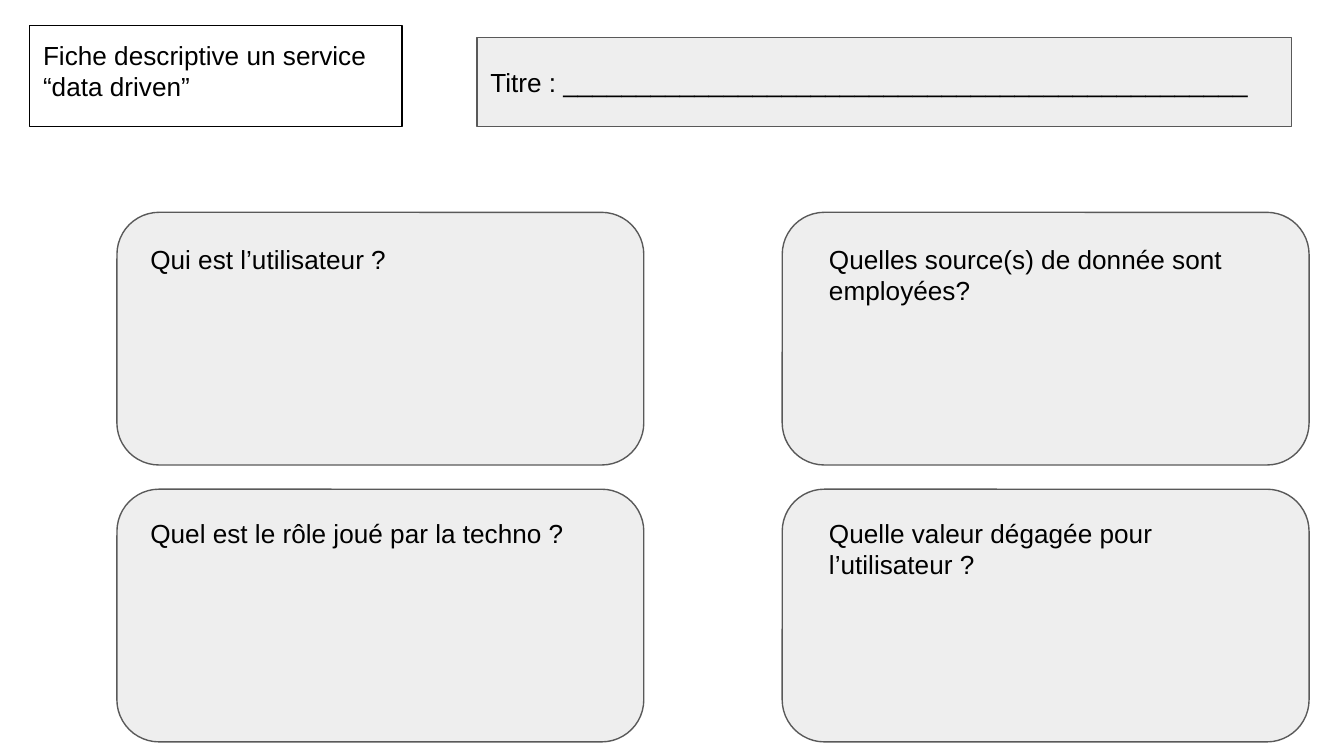
from pptx import Presentation
from pptx.dml.color import RGBColor
from pptx.enum.shapes import MSO_SHAPE
from pptx.enum.text import MSO_ANCHOR, MSO_AUTO_SIZE, PP_ALIGN
from pptx.util import Inches, Pt

RECTANGLE, ROUNDED = MSO_SHAPE.RECTANGLE, MSO_SHAPE.ROUNDED_RECTANGLE
TOP, MIDDLE = MSO_ANCHOR.TOP, MSO_ANCHOR.MIDDLE
NO_AUTOFIT, LEFT = MSO_AUTO_SIZE.NONE, PP_ALIGN.LEFT

BLACK, GREY, PALE = "000000", "595959", "EEEEEE"

HEADING = "Fiche descriptive un service “data driven”"
SERVICE_NAME = "Titre : _______________________________________________"
QUESTIONS = [
    ["Qui est l’utilisateur ?", "Quelles source(s) de donnée sont employées?"],
    ["Quel est le rôle joué par la techno ?", "Quelle valeur dégagée pour l’utilisateur ?"],
]

SLIDE_WIDTH = 10
SLIDE_HEIGHT = SLIDE_WIDTH * 9 / 16
CARD_LEFTS, CARD_TOPS = (0.87, 5.82), (1.58, 3.64)
CARD_WIDTH, CARD_HEIGHT = 3.92, 1.88
QUESTION_LEFTS, QUESTION_TOPS = (1.02, 6.07), (1.71, 3.75)
QUESTION_WIDTH, QUESTION_HEIGHT = 3.43, 0.63


def color(hex_code):
    return RGBColor.from_string(hex_code)


def outline(shape, hex_code):
    shape.line.color.rgb = color(hex_code)
    shape.line.width = Pt(0.75)


def write(shape, text, anchor=TOP):
    frame = shape.text_frame
    frame.text = text
    frame.word_wrap = True
    frame.auto_size = NO_AUTOFIT
    frame.vertical_anchor = anchor
    frame.margin_left = frame.margin_right = Inches(0.1)
    frame.margin_top = frame.margin_bottom = Inches(0.1)
    paragraph = frame.paragraphs[0]
    paragraph.alignment = LEFT
    font = paragraph.runs[0].font
    font.name, font.size = "Arial", Pt(14)
    font.color.rgb = color(BLACK)


def add_panel(slide, preset, left, top, width, height):
    panel = slide.shapes.add_shape(
        preset, Inches(left), Inches(top), Inches(width), Inches(height))
    panel.shadow.inherit = False
    panel.fill.solid()
    panel.fill.fore_color.rgb = color(PALE)
    outline(panel, GREY)
    return panel


def main():
    deck = Presentation()
    deck.slide_width, deck.slide_height = Inches(SLIDE_WIDTH), Inches(SLIDE_HEIGHT)
    slide = deck.slides.add_slide(deck.slide_layouts[5])

    heading = slide.shapes.title
    heading.left, heading.top = Inches(0.22), Inches(0.19)
    heading.width, heading.height = Inches(2.77), Inches(0.75)
    outline(heading, BLACK)
    write(heading, HEADING)

    service_name = add_panel(slide, RECTANGLE, 3.55, 0.28, 6.06, 0.66)
    write(service_name, SERVICE_NAME, MIDDLE)

    for row, questions in enumerate(QUESTIONS):
        for column, question in enumerate(questions):
            add_panel(slide, ROUNDED, CARD_LEFTS[column], CARD_TOPS[row],
                      CARD_WIDTH, CARD_HEIGHT)
            label = slide.shapes.add_textbox(
                Inches(QUESTION_LEFTS[column]), Inches(QUESTION_TOPS[row]),
                Inches(QUESTION_WIDTH), Inches(QUESTION_HEIGHT))
            write(label, question)

    deck.save("out.pptx")


if __name__ == "__main__":
    main()
